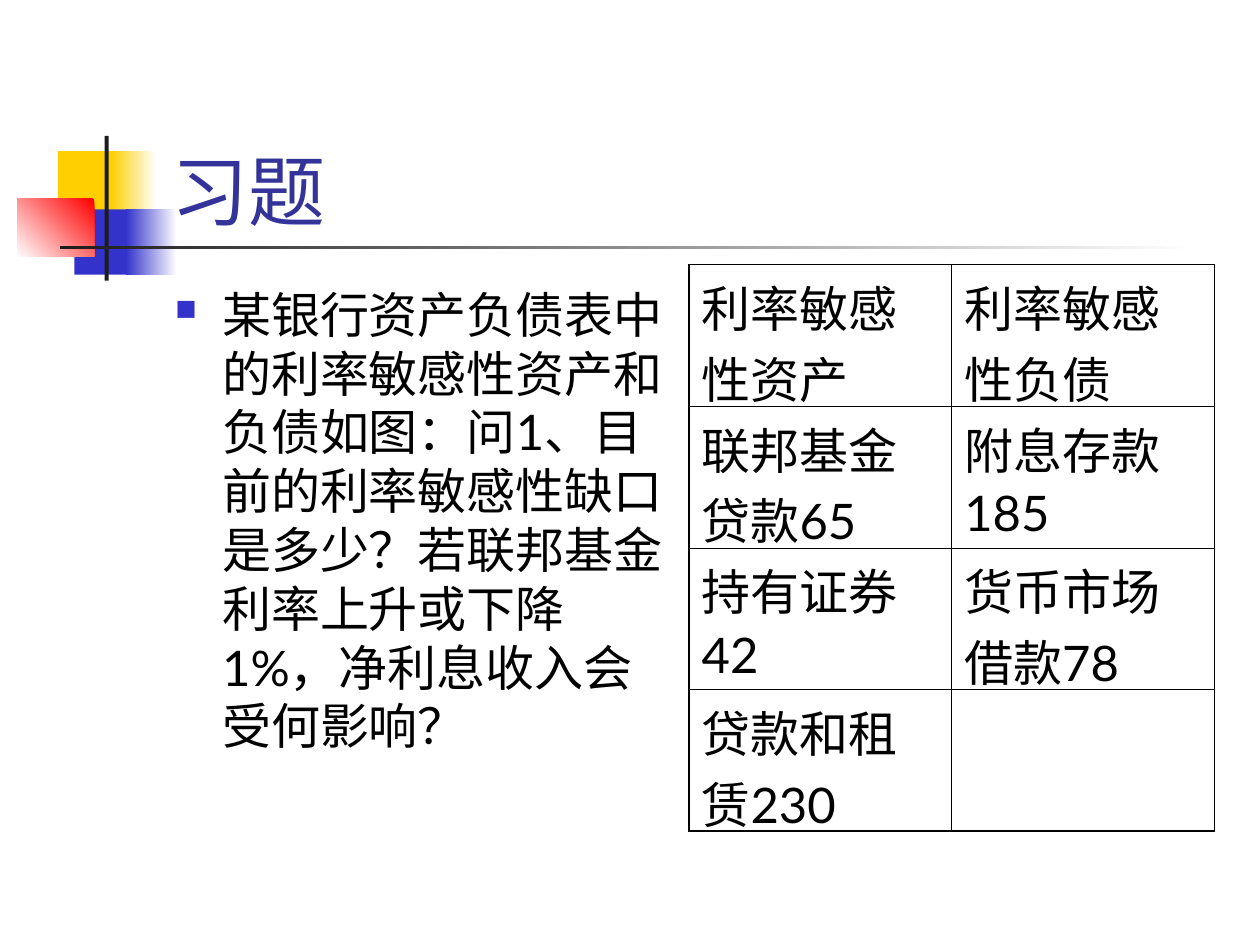
from lxml.etree import SubElement
from pptx import Presentation
from pptx.dml.color import RGBColor
from pptx.enum.shapes import MSO_SHAPE
from pptx.enum.text import MSO_ANCHOR
from pptx.oxml import parse_xml
from pptx.oxml.ns import nsdecls, qn
from pptx.util import Cm, Pt

COLORS = {
    "yellow": "FFCF01", "blue": "3333CC", "red": "FF0000", "white": "FFFFFF",
    "dark": "1C1C1C", "title": "333399", "text": "000000",
}
FONT = "Lato"
QUESTION = (
    "某银行资产负债表中的利率敏感性资产和负债如图：问1、目前的利率敏感性缺口是多少？"
    "若联邦基金利率上升或下降1%，净利息收入会受何影响？"
)
BALANCE_SHEET = [
    ("利率敏感性资产", "利率敏感性负债"),
    ("联邦基金贷款65", "附息存款185"),
    ("持有证券42", "货币市场借款78"),
    ("贷款和租赁230", ""),
]


class SlideBuilder:
    def __init__(self, slide):
        self.slide = slide

    def color(self, name):
        return RGBColor.from_string(COLORS[name])

    def format_runs(self, paragraph, size, color, east_asian=False):
        """Style the runs; east_asian also sets the font for Chinese characters."""
        for run in paragraph.runs:
            run.font.name = FONT
            run.font.size = Pt(size)
            run.font.color.rgb = self.color(color)
            if east_asian:
                latin = run._r.get_or_add_rPr().find(qn("a:latin"))
                latin.addnext(parse_xml(f'<a:ea {nsdecls("a")} typeface="{FONT}"/>'))

    def block(self, left, top, width, height, *colors, angle=0):
        """Draw a rectangle with one colour, or two for a gradient."""
        shape = self.slide.shapes.add_shape(
            MSO_SHAPE.RECTANGLE, Cm(left), Cm(top), Cm(width), Cm(height))
        shape.shadow.inherit = False
        shape.line.fill.background()
        if len(colors) == 1:
            shape.fill.solid()
            shape.fill.fore_color.rgb = self.color(colors[0])
            return
        shape.fill.gradient()
        shape.fill.gradient_angle = angle
        for position, (stop, name) in enumerate(zip(shape.fill.gradient_stops, colors)):
            stop.position = position
            stop.color.rgb = self.color(name)

    def text(self, left, top, width, height, content, size, color, anchor=MSO_ANCHOR.TOP):
        shape = self.slide.shapes.add_textbox(Cm(left), Cm(top), Cm(width), Cm(height))
        text_frame = shape.text_frame
        text_frame.word_wrap = True
        text_frame.vertical_anchor = anchor
        text_frame.text = content
        paragraph = text_frame.paragraphs[0]
        self.format_runs(paragraph, size, color, east_asian=True)
        return paragraph

    def bullet(self, paragraph, color, indent):
        properties = paragraph._p.get_or_add_pPr()
        properties.set("marL", str(Cm(indent)))
        properties.set("indent", str(-Cm(indent)))
        bullet_color = SubElement(properties, qn("a:buClr"))
        SubElement(bullet_color, qn("a:srgbClr"), val=COLORS[color])
        SubElement(properties, qn("a:buSzPct"), val="60000")
        SubElement(properties, qn("a:buChar"), char="■")

    def borders(self, cell, widths):
        properties = cell._tc.get_or_add_tcPr()
        for index, (side, width) in enumerate(zip("LRTB", widths)):
            properties.insert(index, parse_xml(
                f'<a:ln{side} {nsdecls("a")} w="{Pt(width)}"><a:solidFill>'
                f'<a:srgbClr val="{COLORS["text"]}"/></a:solidFill></a:ln{side}>'))

    def table(self, left, top, width, height, rows, size):
        last_row, last_column = len(rows) - 1, len(rows[0]) - 1
        table = self.slide.shapes.add_table(
            len(rows), len(rows[0]), Cm(left), Cm(top), Cm(width), Cm(height)).table
        table.first_row = table.horz_banding = False
        for row, values in enumerate(rows):
            for column, value in enumerate(values):
                cell = table.cell(row, column)
                cell.fill.background()
                cell.text_frame.text = value
                self.format_runs(cell.text_frame.paragraphs[0], size, "text")
                outer = (column == 0, column == last_column, row == 0, row == last_row)
                self.borders(cell, [1.08 if edge else 0.45 for edge in outer])


def main():
    presentation = Presentation()
    presentation.slide_width, presentation.slide_height = Cm(25.4), Cm(19.05)
    builder = SlideBuilder(presentation.slides.add_slide(presentation.slide_layouts[6]))

    builder.block(1.17, 3.05, 1.22, 1.32, "yellow")
    builder.block(2.24, 3.05, 0.91, 1.32, "white", "yellow", angle=180)
    builder.block(1.5, 4.22, 1.17, 1.32, "blue")
    builder.block(2.54, 4.22, 1.02, 1.32, "white", "blue", angle=180)
    builder.block(0.35, 4.01, 1.55, 1.17, "red", "white", angle=225)
    builder.block(2.11, 2.74, 0.08, 2.92, "dark")
    builder.block(1.22, 4.95, 22.86, 0.08, "white", "dark", angle=180)

    builder.text(3.2, 1.7, 21.64, 3.18, "习题", 44, "title", MSO_ANCHOR.BOTTOM)
    question = builder.text(3.28, 5.61, 10.59, 11.43, QUESTION, 28, "text")
    builder.bullet(question, "blue", 0.95)
    question.line_spacing = Pt(33.6)
    builder.table(13.89, 5.33, 10.59, 11.43, BALANCE_SHEET, 28)

    presentation.save("out.pptx")


if __name__ == "__main__":
    main()
